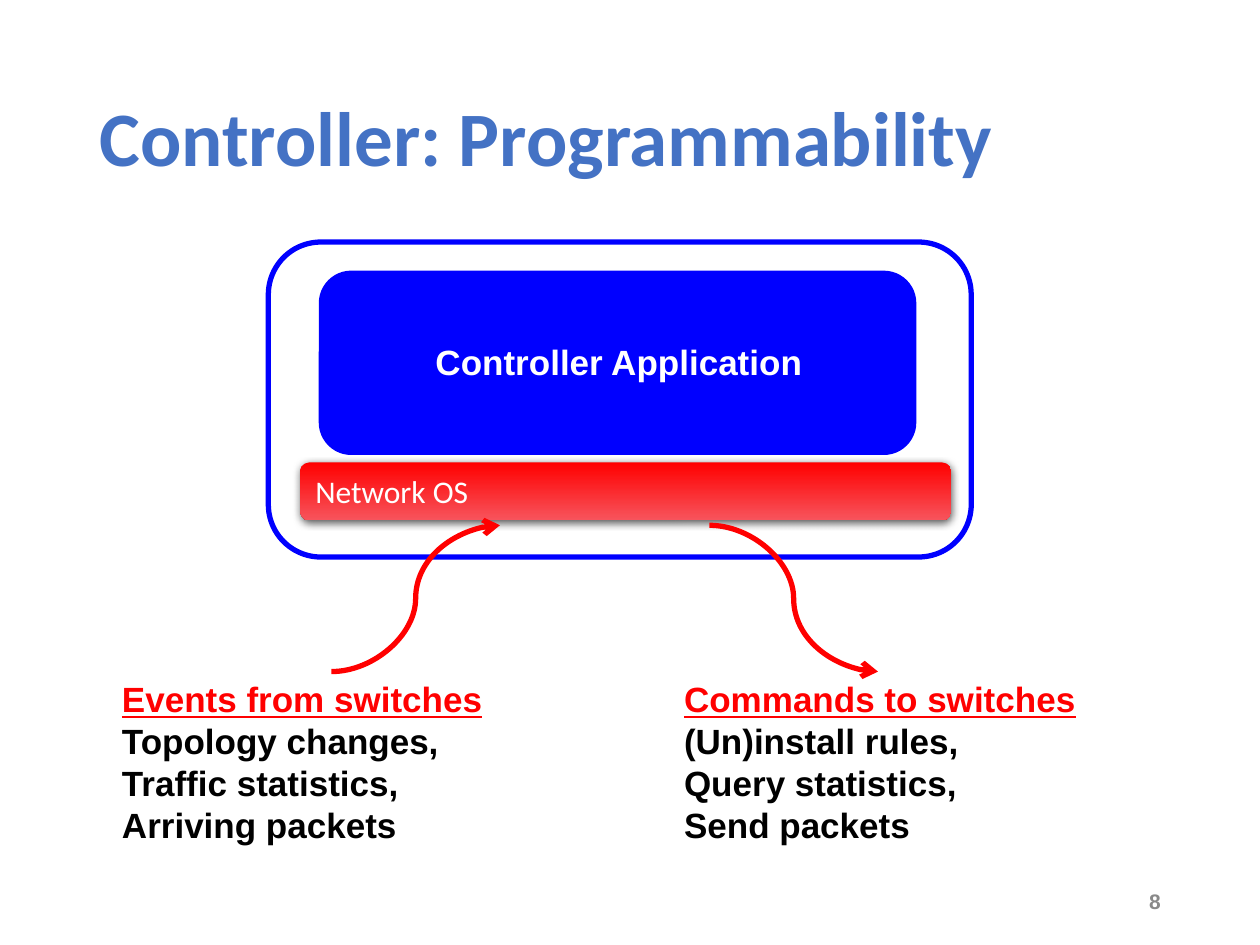
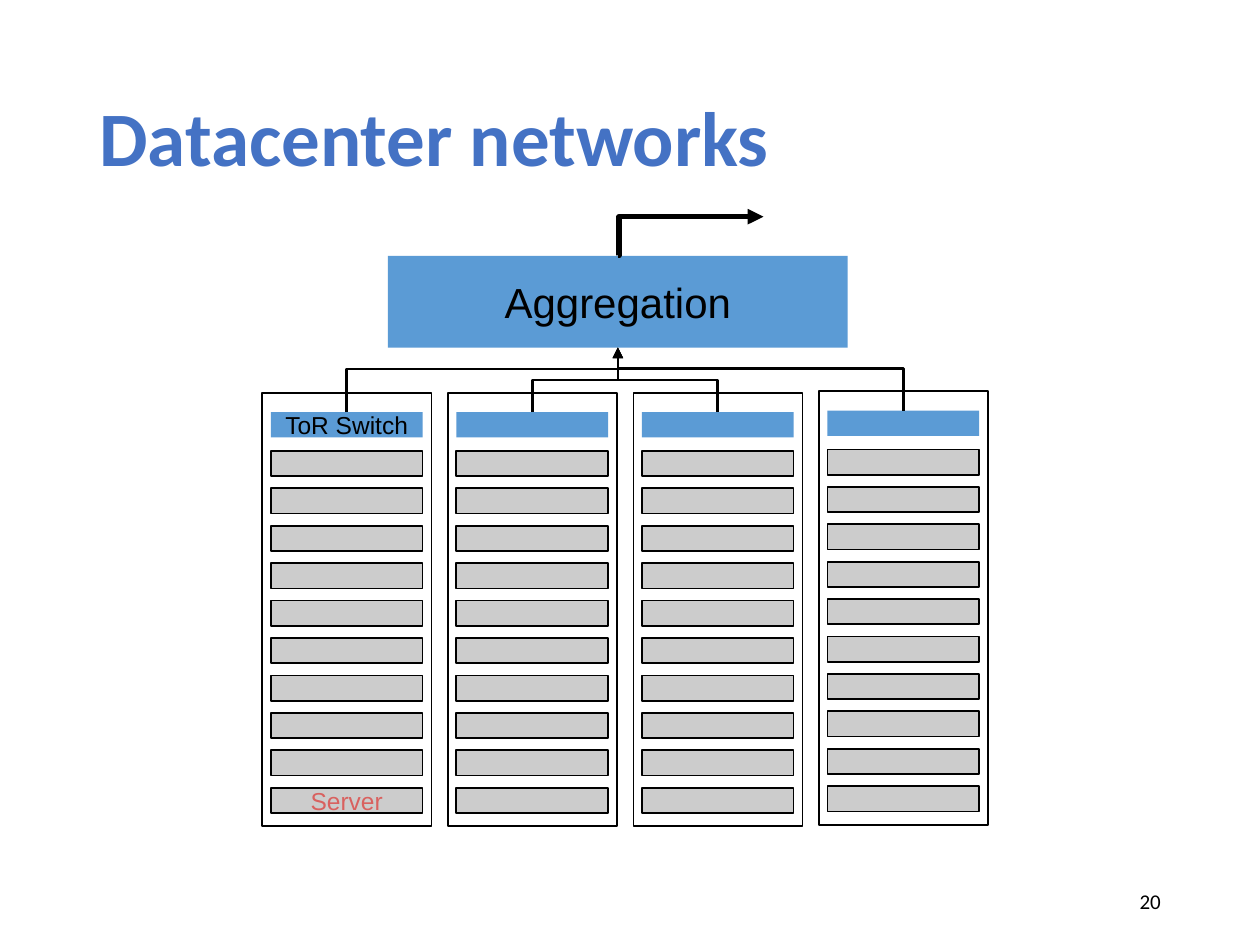
from dataclasses import dataclass

from lxml.etree import SubElement
from pptx import Presentation
from pptx.dml.color import RGBColor
from pptx.enum.shapes import MSO_CONNECTOR, MSO_SHAPE
from pptx.enum.text import MSO_ANCHOR, MSO_AUTO_SIZE, PP_ALIGN
from pptx.oxml.ns import qn
from pptx.util import Cm, Pt


@dataclass(frozen=True)
class Theme:
    heading: str = "4472C4"
    ink: str = "000000"
    paper: str = "FFFFFF"
    muted: str = "898989"
    blue: str = "0000FF"
    red: str = "FF0000"
    light_red: str = "F7545C"
    switch: str = "5B9BD5"
    server: str = "CCCCCC"
    server_text: str = "D9615F"
    sans: str = "Arial"
    body: str = "Calibri"
    title_size: int = 44
    large: int = 24
    medium: int = 20
    normal: int = 18
    small: int = 14
    number_size: int = 12
    thick: float = 3
    medium_line: float = 1.5
    thin: float = 1


THEME = Theme()


def color(value):
    return RGBColor.from_string(value)


class Deck:
    """Holds the style and the slide being built."""

    def __init__(self, theme):
        self.theme = theme
        self.prs = Presentation()
        self.prs.slide_width, self.prs.slide_height = Cm(25.4), Cm(19.05)
        self.slide = None

    def style(self, paragraph, size, ink, face=None, bold=False,
              underline=False, align=PP_ALIGN.LEFT):
        paragraph.alignment = align
        font = paragraph.font
        font.name, font.size = face or self.theme.sans, Pt(size)
        font.bold, font.underline = bold, underline
        font.color.rgb = color(ink)

    def new_slide(self, title, number, **number_style):
        self.slide = self.prs.slides.add_slide(self.prs.slide_layouts[5])
        heading = self.slide.shapes.title
        heading.left, heading.top = Cm(1.75), Cm(1.02)
        heading.width, heading.height = Cm(21.9), Cm(3.68)
        frame = heading.text_frame
        frame.text = title
        frame.auto_size = MSO_AUTO_SIZE.NONE
        frame.vertical_anchor = MSO_ANCHOR.MIDDLE
        frame.paragraphs[0].line_spacing = 0.9
        self.style(frame.paragraphs[0], self.theme.title_size,
                   self.theme.heading, self.theme.body, bold=True)
        # Slide number
        box = self.slide.shapes.add_textbox(
            Cm(17.93), Cm(17.65), Cm(5.72), Cm(1.02))
        box.text_frame.word_wrap = True
        box.text_frame.vertical_anchor = MSO_ANCHOR.MIDDLE
        box.text_frame.text = number
        self.style(box.text_frame.paragraphs[0], self.theme.number_size,
                   align=PP_ALIGN.RIGHT, **number_style)

    def group(self):
        return self.slide.shapes.add_group_shape().shapes

    def box(self, left, top, width, height, fill=None, line=None,
            weight=THEME.thin, kind=MSO_SHAPE.RECTANGLE, host=None):
        shape = (host or self.slide.shapes).add_shape(
            kind, Cm(left), Cm(top), Cm(width), Cm(height))
        shape.shadow.inherit = False
        if fill:
            shape.fill.solid()
            shape.fill.fore_color.rgb = color(fill)
        else:
            shape.fill.background()
        if line:
            shape.line.color.rgb = color(line)
            shape.line.width = Pt(weight)
        else:
            shape.line.fill.background()
        return shape

    def caption(self, shape, text, size, ink, **style):
        """Writes one middle-anchored line inside a shape."""
        shape.text_frame.text = text
        shape.text_frame.vertical_anchor = MSO_ANCHOR.MIDDLE
        self.style(shape.text_frame.paragraphs[0], size, ink, **style)

    def gradient(self, shape, *stops):
        shape.fill.gradient()
        shape.fill.gradient_angle = 270
        for stop, value in zip(shape.fill.gradient_stops, stops):
            stop.color.rgb = color(value)

    def drop_shadow(self, shape):
        effects = shape._element.spPr.find(qn("a:effectLst"))
        shadow = SubElement(effects, qn("a:outerShdw"), blurRad=str(Pt(4.5)),
                            dist=str(Pt(1.5)), dir="5400000", rotWithShape="0")
        tint = SubElement(shadow, qn("a:srgbClr"), val=self.theme.ink)
        SubElement(tint, qn("a:alpha"), val="63000")

    def label(self, left, top, width, height, lines):
        """Bold text box; lines holds (text, colour, underline)."""
        box = self.slide.shapes.add_textbox(
            Cm(left), Cm(top), Cm(width), Cm(height))
        frame = box.text_frame
        frame.word_wrap = False
        frame.auto_size = MSO_AUTO_SIZE.SHAPE_TO_FIT_TEXT
        frame.text = "\n".join(text for text, _, _ in lines)
        for paragraph, (_, ink, underline) in zip(frame.paragraphs, lines):
            self.style(paragraph, self.theme.medium, ink, bold=True,
                       underline=underline)

    def arrow(self, kind, start, end, ink, weight, head="triangle", bend=0.5):
        link = self.slide.shapes.add_connector(
            kind, *(Cm(value) for value in (*start, *end)))
        link.line.color.rgb = color(ink)
        link.line.width = Pt(weight)
        SubElement(link.line._get_or_add_ln(), qn("a:tailEnd"), type=head)
        properties = link._element.spPr
        SubElement(properties, qn("a:effectLst"))
        guides = properties.find(qn("a:prstGeom")).find(qn("a:avLst"))
        SubElement(guides, qn("a:gd"), name="adj1",
                   fmla=f"val {round(bend * 100000)}")
        return link

    def uplink(self, lower, upper, bend):
        """Elbow that leaves lower's top and enters upper's bottom."""
        x1, y1 = lower.left + lower.width // 2, lower.top
        x2, y2 = upper.left + upper.width // 2, upper.top + upper.height
        link = self.arrow(MSO_CONNECTOR.ELBOW, (0, 0), (1, 1), self.theme.ink,
                          self.theme.medium_line, bend=bend)
        link.begin_connect(lower, 0)
        link.end_connect(upper, 2)
        # The elbow is a quarter turn of one that starts sideways
        middle_x, middle_y = (x1 + x2) // 2, (y1 + y2) // 2
        half_rise, half_run = (y1 - y2) // 2, abs(x2 - x1) // 2
        side = 1 if x1 < x2 else -1
        link.begin_x = middle_x + side * half_rise
        link.begin_y = middle_y + half_run
        link.end_x = middle_x - side * half_rise
        link.end_y = middle_y - half_run
        link._element.spPr.find(qn("a:xfrm")).set(
            "rot", "5400000" if side == 1 else "16200000")


def build_controller(deck):
    theme = deck.theme
    rounded = MSO_SHAPE.ROUNDED_RECTANGLE
    deck.new_slide("Controller: Programmability", "8",
                   ink=theme.muted, bold=True)

    # Controller stack
    network_os = deck.box(6.05, 9.32, 13.13, 1.17, kind=rounded)
    deck.gradient(network_os, theme.red, theme.light_red)
    deck.drop_shadow(network_os)
    deck.caption(network_os, "Network OS", theme.normal, theme.paper,
                 face=theme.body)
    deck.box(6.48, 5.51, 11.94, 3.61, theme.blue, theme.blue, theme.thick,
             rounded)
    deck.label(8.53, 6.73, 7.98, 1.12,
               [("Controller Application", theme.paper, False)])
    deck.box(5.41, 4.88, 14.17, 6.35, None, theme.blue, theme.thick, rounded)

    # Messages exchanged with the switches
    messages = [
        (2.21, 7.85, (6.68, 13.54), (10.08, 10.59), "Events from switches",
         ["Topology changes,", "Traffic statistics,", "Arriving packets"]),
        (13.54, 8.48, (14.3, 10.59), (17.7, 13.54), "Commands to switches",
         ["(Un)install rules,", "Query statistics,", "Send packets"]),
    ]
    for left, width, start, end, heading, details in messages:
        deck.arrow(MSO_CONNECTOR.CURVE, start, end, theme.red, theme.thick,
                   "arrow")
        deck.label(left, 13.54, width, 3.68,
                   [(heading, theme.red, True)]
                   + [(detail, theme.ink, False) for detail in details])


def build_rack(deck, left, top, switch_text="", server_text=""):
    """Draws one rack and returns its top-of-rack switch."""
    theme = deck.theme
    servers, first, last = 10, 1.17, 7.96
    rack = deck.group()

    def unit(offset, fill, line, text, ink):
        shape = deck.box(left + 0.17, top + offset, 3.06, 0.51, fill, line,
                         host=rack)
        if text:
            frame = shape.text_frame
            frame.margin_left = frame.margin_right = 0
            deck.caption(shape, text, theme.small, ink, align=PP_ALIGN.CENTER)
        return shape

    for i in range(servers):
        unit(first + i * (last - first) / (servers - 1), theme.server,
             theme.ink, server_text if i == servers - 1 else "",
             theme.server_text)
    switch = unit(0.39, theme.switch, None, switch_text, theme.ink)
    deck.box(left, top, 3.41, 8.74, line=theme.ink, host=rack)
    return switch


def build_datacenter(deck):
    theme = deck.theme
    deck.new_slide("Datacenter networks", "20", ink=theme.ink, face=theme.body)

    # Racks, the last one slightly higher
    tops = [7.92, 7.92, 7.92, 7.89]
    texts = [("ToR Switch", "Server")] + [("", "")] * 3
    switches = [build_rack(deck, 5.29 + i * 3.74, top, *text)
                for i, (top, text) in enumerate(zip(tops, texts))]

    # Aggregation layer and its links
    aggregation = deck.box(7.82, 5.16, 9.27, 1.85, theme.switch)
    deck.caption(aggregation, "Aggregation", theme.large, theme.ink,
                 align=PP_ALIGN.CENTER)
    for switch, bend in zip(switches, [0.67, 0.5, 0.5, 0.67]):
        deck.uplink(switch, aggregation, bend)
    deck.arrow(MSO_CONNECTOR.ELBOW, (12.45, 5.16), (15.39, 4.37), theme.ink,
               theme.thick, bend=0.01)


def main():
    deck = Deck(THEME)
    build_controller(deck)
    build_datacenter(deck)
    deck.prs.save("out.pptx")


if __name__ == "__main__":
    main()
